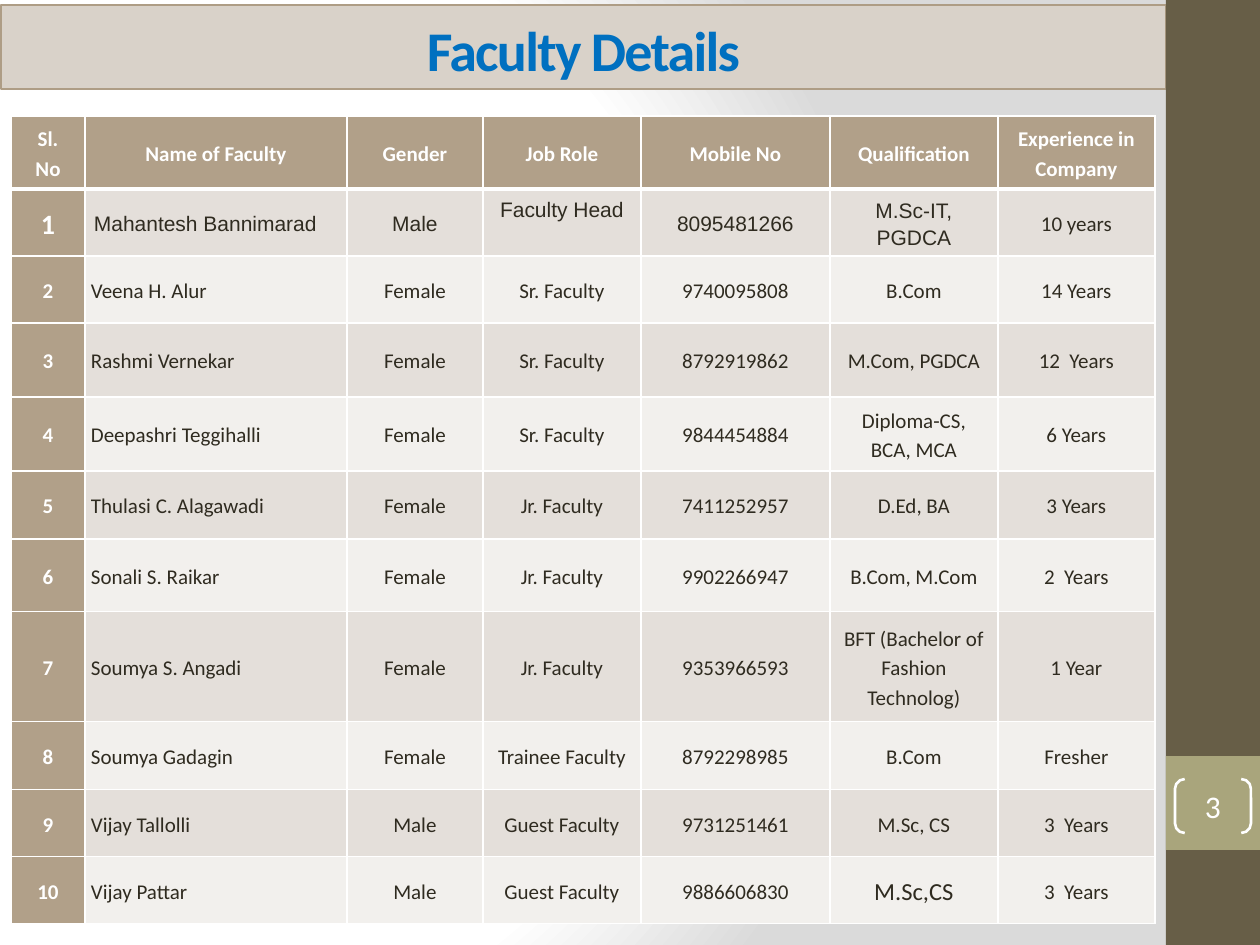
from pptx import Presentation
from pptx.dml.color import RGBColor
from pptx.enum.shapes import MSO_SHAPE as SHAPE
from pptx.enum.text import MSO_ANCHOR as ANCHOR, MSO_AUTO_SIZE as AUTO, PP_ALIGN as ALIGN
from pptx.oxml import parse_xml
from pptx.oxml.ns import nsdecls
from pptx.util import Pt

PX = 914400 / 126
WHITE, TAN, DARK = "FFFFFF", "B1A089", "2F2B20"


def px(n):
    return round(n * PX)


def add_run(p, text, size, color, bold=False, font="Calibri"):
    r = p.add_run()
    r.text = text
    r.font.size = Pt(size)
    r.font.name = font
    r.font.bold = bold
    r.font.color.rgb = RGBColor.from_string(color)
    return r


prs = Presentation()
prs.slide_width, prs.slide_height = px(1260), px(945)
s = prs.slides.add_slide(prs.slide_layouts[5])

# Background: white glow fading to grey
stops = "".join(
    f'<a:gs pos="{pos * 1000}"><a:srgbClr val="{color}"/></a:gs>'
    for pos, color in [(0, WHITE), (75, WHITE), (100, "DADADA")])
s.element.cSld.insert(0, parse_xml(
    f'<p:bg {nsdecls("p", "a")}><p:bgPr><a:gradFill rotWithShape="1">'
    f'<a:gsLst>{stops}</a:gsLst><a:path path="circle">'
    '<a:fillToRect l="20000" t="50000" r="100000" b="50000"/></a:path>'
    '</a:gradFill><a:effectLst/></p:bgPr></p:bg>'))

# Sidebar with page number block
for y, h, color in [(0, 945, "675E47"), (756, 94, "A9A57C")]:
    sp = s.shapes.add_shape(SHAPE.RECTANGLE, px(1166), px(y), px(94), px(h))
    sp.shadow.inherit = False
    sp.fill.solid()
    sp.fill.fore_color.rgb = RGBColor.from_string(color)
    sp.line.fill.background()

# Title
title = s.shapes.title
title.left, title.top, title.width, title.height = px(1), px(5), px(1165), px(84)
title.fill.solid()
title.fill.fore_color.rgb = RGBColor.from_string("D9D2C9")
title.line.color.rgb = RGBColor.from_string("AE9D85")
title.line.width = Pt(1)
tf = title.text_frame
tf.auto_size = AUTO.NONE
tf.vertical_anchor = ANCHOR.BOTTOM
p = tf.paragraphs[0]
p.alignment = ALIGN.CENTER
r = add_run(p, "Faculty Details", 32, "0070C0", True)
r.font._element.set("spc", "-100")

# Page number in brackets
sp = s.shapes.add_shape(SHAPE.DOUBLE_BRACKET, px(1175), px(779), px(76), px(54))
sp.adjustments[0] = 0.18
sp.shadow.inherit = False
sp.fill.background()
sp.line.color.rgb = RGBColor.from_string(WHITE)
sp.line.width = Pt(1.5)
tf = sp.text_frame
tf.margin_left = tf.margin_top = tf.margin_right = tf.margin_bottom = 0
tf.vertical_anchor = ANCHOR.MIDDLE
p = tf.paragraphs[0]
p.alignment = ALIGN.CENTER
add_run(p, "3", 18, WHITE)

# Faculty table
rows = [
    ("Sl.\nNo", "Name of Faculty", "Gender", "Job Role", "Mobile No",
     "Qualification", "Experience in\nCompany"),
    ("1", "Mahantesh Bannimarad", "Male", "Faculty Head", "8095481266",
     "M.Sc-IT, PGDCA", "10 years"),
    ("2", "Veena H. Alur", "Female", "Sr. Faculty", "9740095808", "B.Com", "14 Years"),
    ("3", "Rashmi Vernekar", "Female", "Sr. Faculty", "8792919862",
     "M.Com, PGDCA", "12  Years"),
    ("4", "Deepashri Teggihalli", "Female", "Sr. Faculty", "9844454884",
     "Diploma-CS,\nBCA, MCA", "6 Years"),
    ("5", "Thulasi C. Alagawadi", "Female", "Jr. Faculty", "7411252957",
     "D.Ed, BA", "3 Years"),
    ("6", "Sonali S. Raikar", "Female", "Jr. Faculty", "9902266947",
     "B.Com, M.Com", "2  Years"),
    ("7", "Soumya S. Angadi", "Female", "Jr. Faculty", "9353966593",
     "BFT (Bachelor of Fashion Technolog)", "1 Year"),
    ("8", "Soumya Gadagin", "Female", "Trainee Faculty", "8792298985",
     "B.Com", "Fresher"),
    ("9", "Vijay Tallolli", "Male", "Guest Faculty", "9731251461",
     "M.Sc, CS", "3  Years"),
    ("10", "Vijay Pattar", "Male", "Guest Faculty", "9886606830",
     "M.Sc,CS", "3  Years"),
]
widths = [74, 262, 136, 158, 189, 168, 157]
heights = [73, 67, 67, 74, 74, 68, 73, 110, 68, 67, 67]
sizes = {(1, 0): 16, (10, 5): 14}

table = s.shapes.add_table(len(rows), len(widths), px(11), px(116),
                           px(sum(widths)), px(sum(heights))).table
for col, w in zip(table.columns, widths):
    col.width = px(w)
for row, h in zip(table.rows, heights):
    row.height = px(h)

for i, row in enumerate(rows):
    for j, text in enumerate(row):
        cell = table.cell(i, j)
        strong = i == 0 or j == 0

        # Borders, with a thick rule under the header
        thick = {"T": i == 1, "B": i == 0}
        for side in "LRTB":
            w = Pt(3 if thick.get(side) else 1)
            cell._tc.get_or_add_tcPr().append(parse_xml(
                f'<a:ln{side} {nsdecls("a")} w="{w}"><a:solidFill>'
                f'<a:srgbClr val="{WHITE}"/></a:solidFill></a:ln{side}>'))
        cell.fill.solid()
        fill = TAN if strong else "E4DFDA" if i % 2 else "F2F0ED"
        cell.fill.fore_color.rgb = RGBColor.from_string(fill)

        cell.margin_left = cell.margin_right = px(9 if i == 1 else 6)
        cell.margin_top = cell.margin_bottom = 0
        cell.vertical_anchor = ANCHOR.MIDDLE
        if text == "Faculty Head":
            cell.vertical_anchor = ANCHOR.TOP
            cell.margin_top = px(6)

        font = "Arial" if i == 1 and 0 < j < 6 else "Calibri"
        for k, line in enumerate(text.split("\n")):
            tf = cell.text_frame
            p = tf.add_paragraph() if k else tf.paragraphs[0]
            p.alignment = ALIGN.LEFT if i and j == 1 else ALIGN.CENTER
            p.line_spacing = 1.15
            add_run(p, line, sizes.get((i, j), 12), WHITE if strong else DARK,
                    strong, font)

prs.save("out.pptx")
